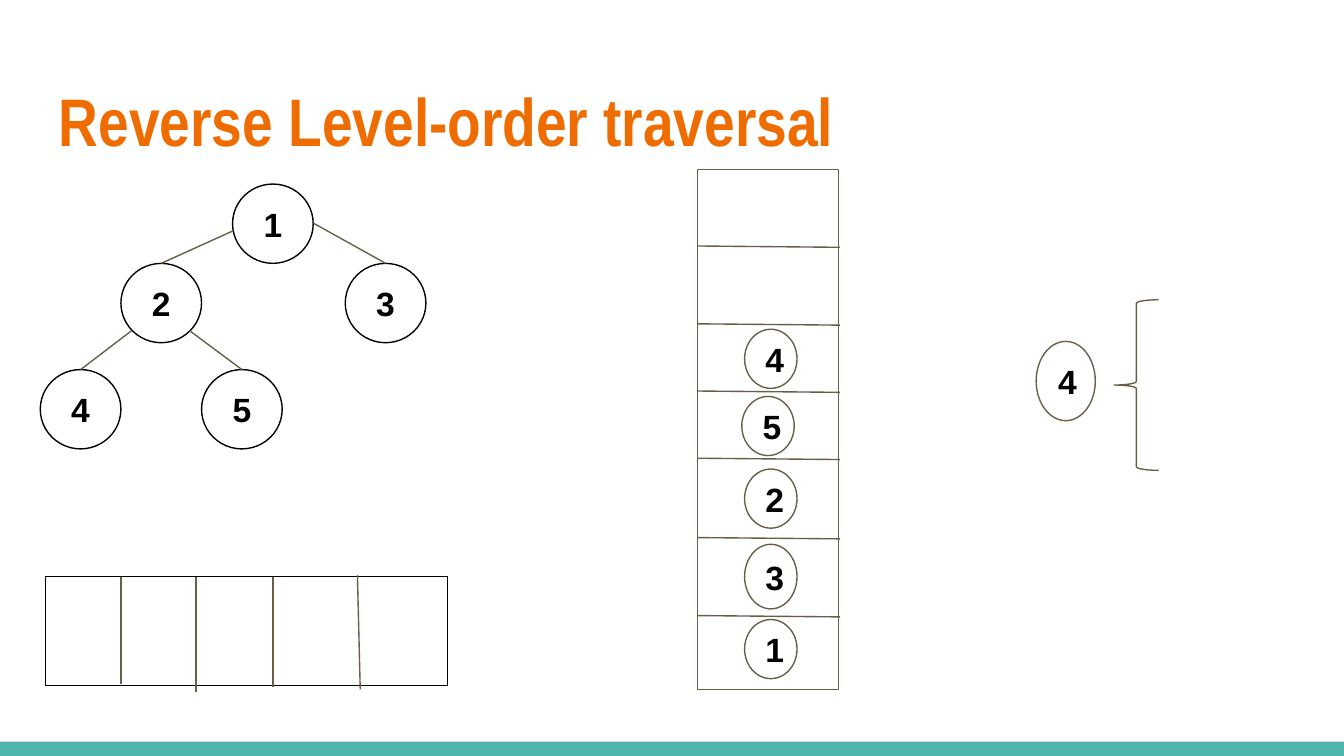
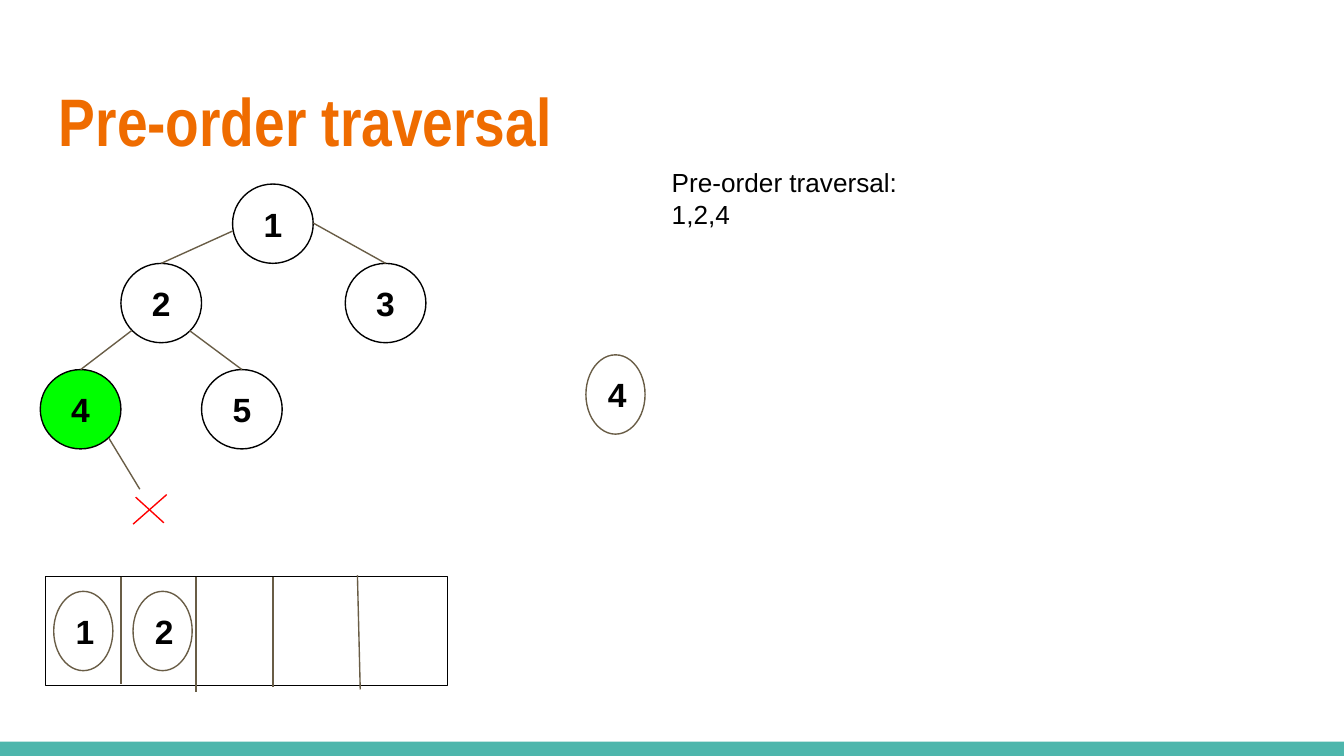
from typing import NamedTuple

from lxml import etree
from pptx import Presentation
from pptx.dml.color import RGBColor
from pptx.enum.shapes import MSO_CONNECTOR, MSO_SHAPE
from pptx.enum.text import MSO_ANCHOR, PP_ALIGN
from pptx.oxml.ns import qn
from pptx.shapes.autoshape import Shape
from pptx.slide import Slide
from pptx.text.text import TextFrame
from pptx.util import Pt

ELLIPSE = MSO_SHAPE.OVAL
RECTANGLE = MSO_SHAPE.RECTANGLE
LEFT_BRACE = MSO_SHAPE.LEFT_BRACE
STRAIGHT = MSO_CONNECTOR.STRAIGHT
TOP, MIDDLE = MSO_ANCHOR.TOP, MSO_ANCHOR.MIDDLE
LEFT, CENTER = PP_ALIGN.LEFT, PP_ALIGN.CENTER

COLORS = {
    "title": "EF6C00",
    "band": "4DB6AC",
    "paper": "FFFFFF",
    "ink": "000000",
    "outline": "695D46",
    "visited": "00FF00",
    "missing": "FF0000",
}
BODY_FONT, TITLE_FONT = "Arial", "Arial Narrow"
SLIDE_WIDTH, SLIDE_HEIGHT = 720, 405
LINE_WIDTH = 0.75
INSET = 7.2


class Box(NamedTuple):
    left: float
    top: float
    width: float
    height: float


class Node(NamedTuple):
    label: str
    left: float
    top: float


class Token(NamedTuple):
    label: str
    left: float
    top: float
    width: float = 31.7
    height: float = 42.5


class Segment(NamedTuple):
    x1: float
    y1: float
    x2: float
    y2: float
    color: str = "outline"


# Tree
NODE_WIDTH, NODE_HEIGHT = 43.2, 42.5
TREE_NODES = [
    Node("1", 124.6, 98.6),
    Node("3", 185, 141.1),
    Node("2", 64.8, 141.1),
    Node("4", 21.6, 198),
    Node("5", 108, 198),
]
TREE_EDGES = [
    Segment(124.6, 123.8, 86.4, 141.1),
    Segment(70.6, 177.1, 43.2, 198),
    Segment(167.8, 119.5, 206.6, 141.1),
    Segment(101.5, 177.1, 129.6, 198),
]

# Queue under the tree
QUEUE = Box(24.5, 308.9, 215.3, 58.3)
QUEUE_DIVIDERS = [
    Segment(64.8, 308.9, 64.8, 366.5),
    Segment(105.1, 308.9, 105.1, 370.8),
    Segment(146.2, 308.9, 146.2, 367.9),
    Segment(191.5, 308.2, 193, 369.4),
]

# Stack of the reverse traversal
STACK = Box(373.7, 90.7, 75.6, 278.6)
STACK_DIVIDER_TOPS = [131.8, 173.5, 209.5, 245.5, 288, 329.8]
STACK_TOKENS = [
    Token("1", 398.9, 331.9, 28.1, 31.7),
    Token("3", 398.9, 291.6, 28.1, 34.6),
    Token("2", 398.9, 251.3, 28.1, 31.7),
    Token("5", 397.4, 212.4, 28.1, 31.7),
    Token("4", 398.9, 176.4, 28.1, 31.7),
]

# Missing child of the visited node
MISSING_CHILD = [
    Segment(58.3, 234.7, 74.9, 262.1),
    Segment(89.3, 265, 71.3, 280.8, "missing"),
    Segment(87.8, 280.1, 72.7, 266.4, "missing"),
]


def color_of(name: str) -> RGBColor:
    return RGBColor.from_string(COLORS[name])


def write(frame: TextFrame, text: str, size: float, *, font: str = BODY_FONT,
          color: str = "ink", bold: bool = False, align: PP_ALIGN = LEFT,
          anchor: MSO_ANCHOR = TOP) -> None:
    frame.text = text
    frame.word_wrap = True
    frame.vertical_anchor = anchor
    frame.margin_left = frame.margin_right = Pt(INSET)
    frame.margin_top = frame.margin_bottom = Pt(INSET)
    for para in frame.paragraphs:
        para.alignment = align
        for span in para.runs:
            span.font.name = font
            span.font.size = Pt(size)
            span.font.bold = bold
            span.font.color.rgb = color_of(color)


def add_text(page: Slide, box: Box, text: str, size: float, **style) -> None:
    area = page.shapes.add_textbox(*map(Pt, box))
    write(area.text_frame, text, size, **style)


def add_figure(page: Slide, kind: MSO_SHAPE, box: Box,
               fill: str | None = "paper", line: str | None = "outline") -> Shape:
    shape = page.shapes.add_shape(kind, *map(Pt, box))
    shape.shadow.inherit = False
    if fill:
        shape.fill.solid()
        shape.fill.fore_color.rgb = color_of(fill)
    else:
        shape.fill.background()
    if line:
        shape.line.color.rgb = color_of(line)
        shape.line.width = Pt(LINE_WIDTH)
    else:
        shape.line.fill.background()
    return shape


def add_segments(page: Slide, segments: list[Segment]) -> None:
    for segment in segments:
        connector = page.shapes.add_connector(STRAIGHT, *map(Pt, segment[:4]))
        connector.line.color.rgb = color_of(segment.color)
        connector.line.width = Pt(LINE_WIDTH)
        etree.SubElement(connector._element.spPr, qn("a:effectLst"))


def add_tokens(page: Slide, tokens: list[Token]) -> None:
    for token in tokens:
        shape = add_figure(page, ELLIPSE, Box(*token[1:]))
        write(shape.text_frame, token.label, 18, bold=True, anchor=MIDDLE)


def add_tree(page: Slide, visited: str) -> None:
    for node in TREE_NODES:
        fill = "visited" if node.label == visited else "paper"
        box = Box(node.left, node.top, NODE_WIDTH, NODE_HEIGHT)
        shape = add_figure(page, ELLIPSE, box, fill, "ink")
        write(shape.text_frame, node.label, 18, bold=True,
              align=CENTER, anchor=MIDDLE)
    add_segments(page, TREE_EDGES)


def add_traversal_page(deck, title: str, visited: str = "") -> Slide:
    """Add a page with the band, title, tree and queue that all pages share."""
    page = deck.slides.add_slide(deck.slide_layouts[6])
    page.background.fill.solid()
    page.background.fill.fore_color.rgb = color_of("paper")
    add_figure(page, RECTANGLE, Box(0, 397.4, SLIDE_WIDTH, 7.6), "band", None)
    add_text(page, Box(24.5, 35.3, 671, 55.4), title, 36,
             font=TITLE_FONT, color="title", bold=True)
    add_tree(page, visited)
    add_figure(page, RECTANGLE, QUEUE, line="ink")
    add_segments(page, QUEUE_DIVIDERS)
    return page


def build_reverse_level_order(deck) -> None:
    page = add_traversal_page(deck, "Reverse Level-order traversal")
    add_figure(page, RECTANGLE, STACK)
    add_segments(page, [Segment(STACK.left, top, 450, top + 0.7)
                        for top in STACK_DIVIDER_TOPS])
    add_tokens(page, STACK_TOKENS)
    # Current node and its children
    add_tokens(page, [Token("4", 555.1, 182.9)])
    brace = add_figure(page, LEFT_BRACE, Box(596.9, 160.6, 23.8, 91.4), None)
    brace.adjustments[0] = 0.08
    brace.adjustments[1] = 0.5


def build_pre_order(deck) -> None:
    page = add_traversal_page(deck, "Pre-order traversal", visited="4")
    add_tokens(page, [Token("1", 28.8, 316.8), Token("2", 71.3, 316.8),
                      Token("4", 313.9, 190.1)])
    add_text(page, Box(352.8, 82.1, 307.4, 48.2),
             "Pre-order traversal:\n1,2,4", 14)
    add_segments(page, MISSING_CHILD)


def main() -> None:
    deck = Presentation()
    deck.slide_width, deck.slide_height = Pt(SLIDE_WIDTH), Pt(SLIDE_HEIGHT)
    build_reverse_level_order(deck)
    build_pre_order(deck)
    deck.save("out.pptx")


if __name__ == "__main__":
    main()
